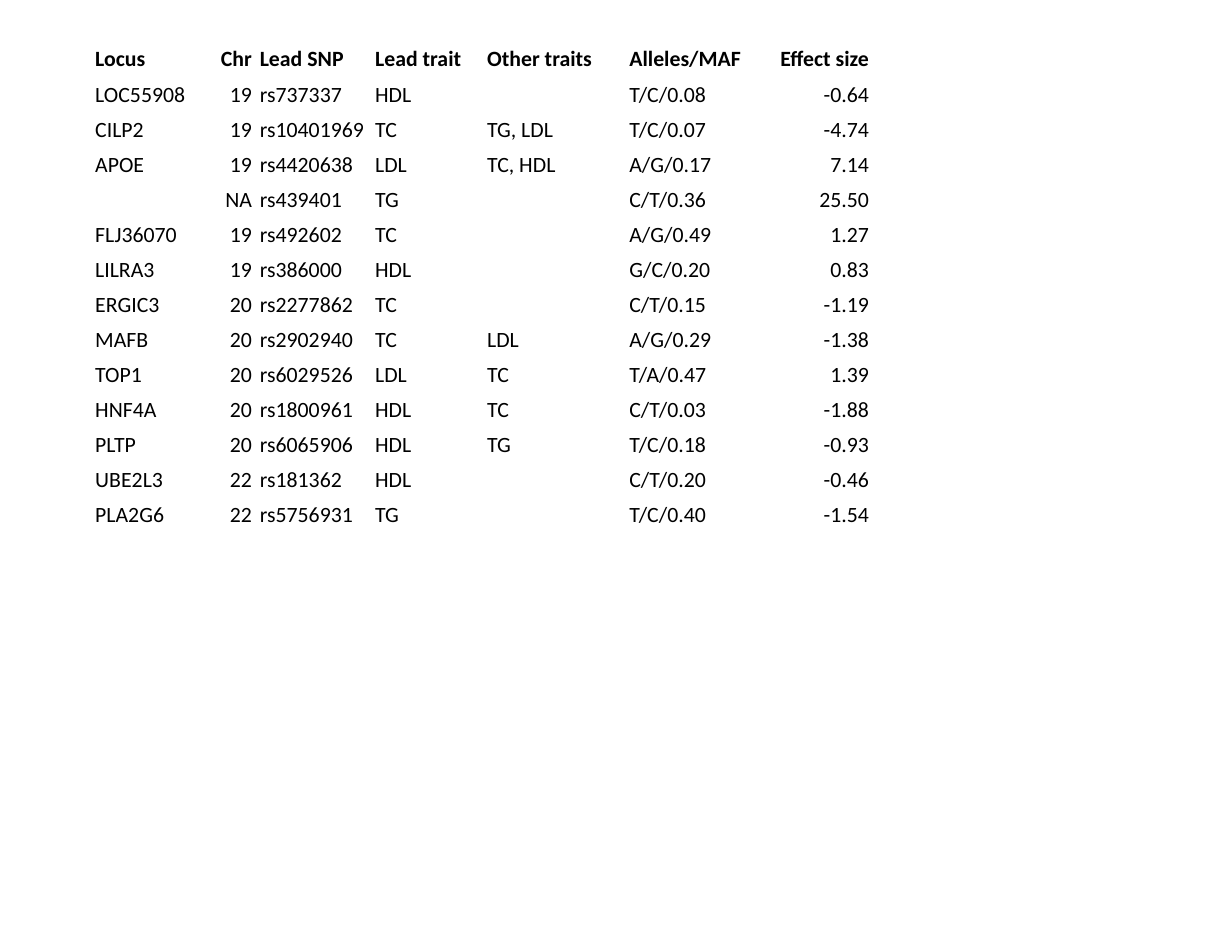
from pptx import Presentation
from pptx.dml.color import RGBColor
from pptx.enum.text import PP_ALIGN as Align
from pptx.util import Inches, Pt

COLORS = {"text": "000000"}
FONT = "Calibri"
NO_STYLE = "{2D5ABB26-0587-4C30-8999-92F81FD0307C}"

# Heading, width, inset on the aligned side (inches), alignment
COLUMNS = [
    ("Locus", 0.98, 0.02, Align.LEFT),
    ("Chr", 0.47, 0.03, Align.RIGHT),
    ("Lead SNP", 1.02, 0.04, Align.LEFT),
    ("Lead trait", 1.00, 0.05, Align.LEFT),
    ("Other traits", 1.23, 0.05, Align.LEFT),
    ("Alleles/MAF", 1.25, 0.09, Align.LEFT),
    ("Effect size", 1.00, 0.02, Align.RIGHT),
]

LOCI = [
    ("LOC55908", "19", "rs737337", "HDL", "", "T/C/0.08", "-0.64"),
    ("CILP2", "19", "rs10401969", "TC", "TG, LDL", "T/C/0.07", "-4.74"),
    ("APOE", "19", "rs4420638", "LDL", "TC, HDL", "A/G/0.17", "7.14"),
    ("", "NA", "rs439401", "TG", "", "C/T/0.36", "25.50"),
    ("FLJ36070", "19", "rs492602", "TC", "", "A/G/0.49", "1.27"),
    ("LILRA3", "19", "rs386000", "HDL", "", "G/C/0.20", "0.83"),
    ("ERGIC3", "20", "rs2277862", "TC", "", "C/T/0.15", "-1.19"),
    ("MAFB", "20", "rs2902940", "TC", "LDL", "A/G/0.29", "-1.38"),
    ("TOP1", "20", "rs6029526", "LDL", "TC", "T/A/0.47", "1.39"),
    ("HNF4A", "20", "rs1800961", "HDL", "TC", "C/T/0.03", "-1.88"),
    ("PLTP", "20", "rs6065906", "HDL", "TG", "T/C/0.18", "-0.93"),
    ("UBE2L3", "22", "rs181362", "HDL", "", "C/T/0.20", "-0.46"),
    ("PLA2G6", "22", "rs5756931", "TG", "", "T/C/0.40", "-1.54"),
]


def write_cell(cell, text, inset, alignment, heading):
    cell.fill.background()
    cell.margin_left = cell.margin_right = 0
    cell.margin_top = cell.margin_bottom = 0
    cell.text = text
    paragraph = cell.text_frame.paragraphs[0]
    paragraph.alignment = alignment
    paragraph.space_before = Pt(2.2 if heading else 1.4)
    # Indent the text from the edge it is aligned to
    side = "marR" if alignment == Align.RIGHT else "marL"
    properties = paragraph._p.get_or_add_pPr()
    properties.set(side, str(Inches(inset)))
    properties.set("indent", "0")
    font = paragraph.font
    font.name = FONT
    font.size = Pt(14)
    font.bold = heading
    font.color.rgb = RGBColor.from_string(COLORS["text"])


def add_loci_table(slide, left, top):
    rows = [[column[0] for column in COLUMNS], *LOCI]
    width = sum(column[1] for column in COLUMNS)
    shape = slide.shapes.add_table(len(rows), len(COLUMNS), Inches(left),
                                   Inches(top), Inches(width), Inches(4.4))
    table = shape.table
    table.first_row = table.horz_banding = False
    table._tbl.tblPr.find("{*}tableStyleId").text = NO_STYLE

    # Column widths and row heights; the outer rows are slightly taller
    for column, (_, column_width, _, _) in zip(table.columns, COLUMNS):
        column.width = Inches(column_width)
    for index, row in enumerate(table.rows):
        row.height = Inches(0.32) if index in (0, len(rows) - 1) else Pt(22.5)

    # Headings and values
    for row_index, values in enumerate(rows):
        for column_index, text in enumerate(values):
            _, _, inset, alignment = COLUMNS[column_index]
            write_cell(table.cell(row_index, column_index), text, inset,
                       alignment, heading=row_index == 0)


def main():
    presentation = Presentation()
    presentation.slide_width = Inches(11)
    presentation.slide_height = Inches(8.5)
    slide = presentation.slides.add_slide(presentation.slide_layouts[6])
    add_loci_table(slide, left=0.83, top=0.41)
    presentation.save("out.pptx")


main()
